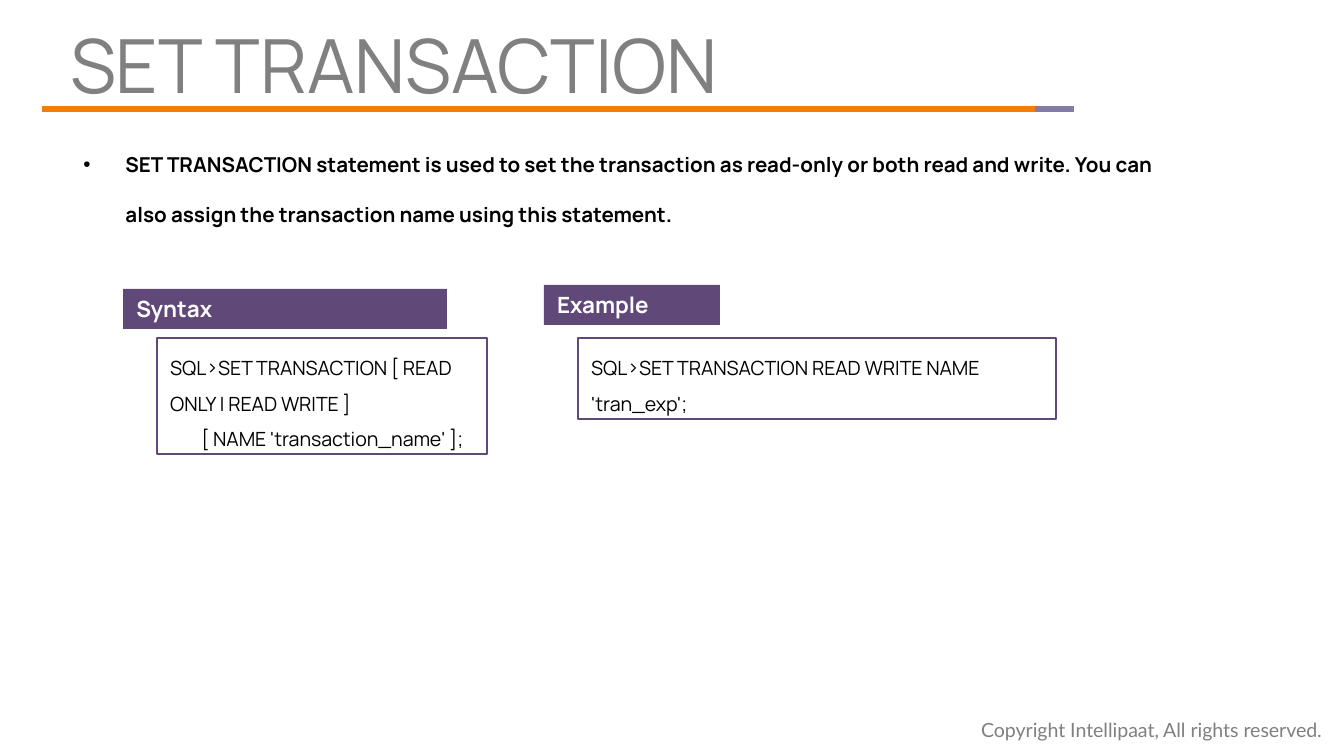
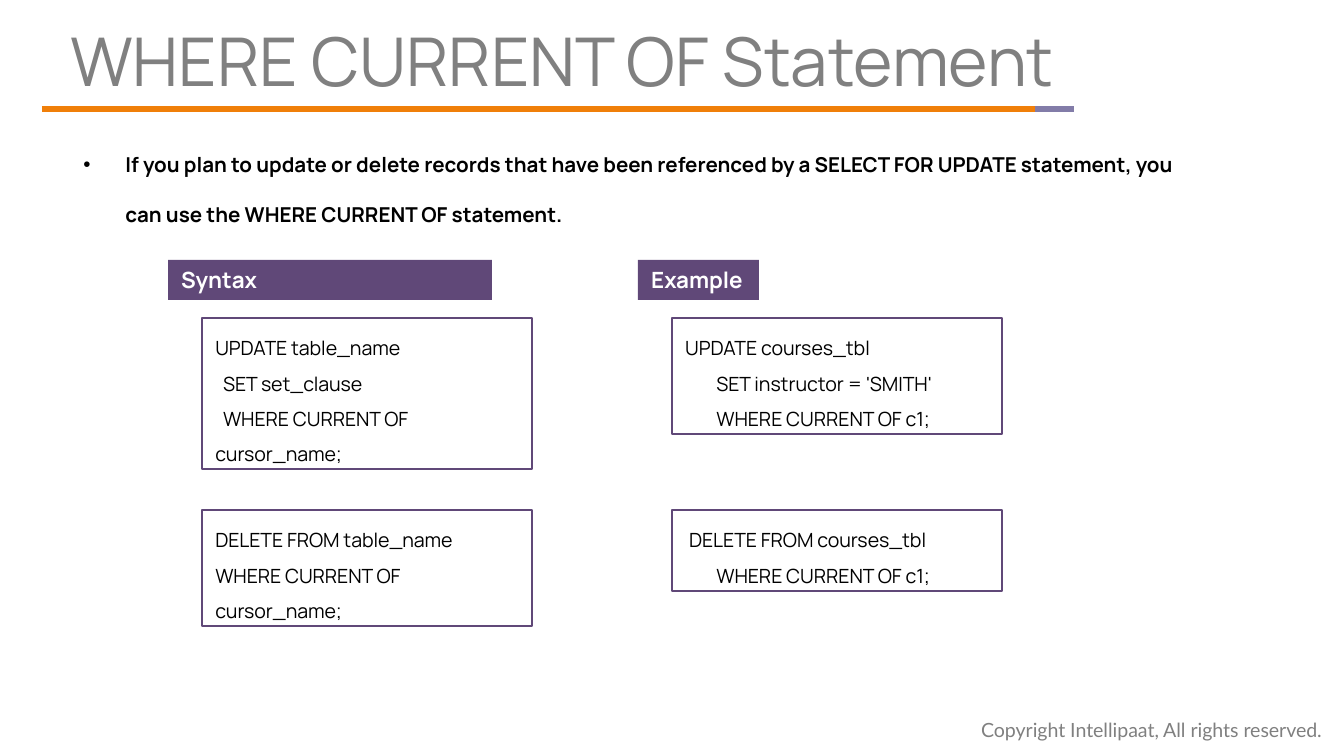
import dataclasses

import lxml.etree
import pptx
import pptx.dml.color
import pptx.enum.shapes
import pptx.enum.text
import pptx.oxml.ns
import pptx.util


@dataclasses.dataclass(frozen=True)
class Theme:
    grey: str = "808080"
    black: str = "000000"
    white: str = "FFFFFF"
    orange: str = "F07F09"
    lilac: str = "827CA8"
    purple: str = "604878"
    font: str = "Manrope"
    foot_font: str = "Lato"
    body_size: float = 11
    label_size: float = 12
    code_size: float = 10.5
    foot_size: float = 10.5


theme = Theme()
RGB = pptx.dml.color.RGBColor.from_string
ANCHOR = pptx.enum.text.MSO_ANCHOR
FIT = pptx.enum.text.MSO_AUTO_SIZE
SCALE = 914400 / 134.4  # EMU in one px


def px(*values):
    return [round(value * SCALE) for value in values]


def write(shape, text, size, color, font=theme.font, bold=False, space=1.0,
          wrap=True, fit=FIT.SHAPE_TO_FIT_TEXT, hang=0):
    """Fill the shape with one paragraph for each line of the text."""
    frame = shape.text_frame
    frame.text = text
    frame.word_wrap = wrap
    frame.auto_size = fit
    frame.vertical_anchor = ANCHOR.TOP
    for para in frame.paragraphs:
        if hang:
            props = para._p.get_or_add_pPr()
            props.set("marL", str(px(hang)[0]))
            props.set("indent", str(px(-hang)[0]))
        para.alignment = pptx.enum.text.PP_ALIGN.LEFT
        para.line_spacing = space
        para.space_before = pptx.util.Pt(0)
        for run in para.runs:
            run.font.name = font
            run.font.size = pptx.util.Pt(size)
            run.font.bold = bold
            run.font.color.rgb = RGB(color)


# Each column: label, left, label top, label width, code width, code blocks (top, text)
pages = [
    dict(
        title="SET TRANSACTION", size=40, width=954,
        body="SET TRANSACTION statement is used to set the transaction as read-only "
             "or both read and write. You can also assign the transaction name using "
             "this statement.",
        columns=[
            ("Syntax", 123, 289, 324, 330, [
                (338, 3, "SQL>SET TRANSACTION [ READ ONLY | READ WRITE ]\n"
                         "        [ NAME 'transaction_name' ];")]),
            ("Example", 544, 285, 176, 478, [
                (338, 2, "SQL>SET TRANSACTION READ WRITE NAME 'tran_exp';")]),
        ],
    ),
    dict(
        title="WHERE CURRENT OF Statement", size=36, width=1032,
        body="If you plan to update or delete records that have been referenced by a "
             "SELECT FOR UPDATE statement, you can use the WHERE CURRENT OF statement.",
        columns=[
            ("Syntax", 168, 260, 324, 330, [
                (318, 4, "UPDATE table_name\n  SET set_clause\n"
                         "  WHERE CURRENT OF cursor_name;"),
                (510, 3, "DELETE FROM table_name\nWHERE CURRENT OF cursor_name;")]),
            ("Example", 638, 260, 121, 330, [
                (318, 3, "UPDATE courses_tbl\n        SET instructor = 'SMITH'\n"
                         "        WHERE CURRENT OF c1;"),
                (510, 2, " DELETE FROM courses_tbl\n        WHERE CURRENT OF c1;")]),
        ],
    ),
]
STEP = 34  # code boxes sit this far right of their label
ROW, PAD = 35, 11  # height of a code line, and what a box adds to it
RECT = pptx.enum.shapes.MSO_SHAPE.RECTANGLE
LINE = pptx.enum.shapes.MSO_CONNECTOR.STRAIGHT

deck = pptx.Presentation()
deck.slide_width, deck.slide_height = px(1344, 756)

for page in pages:
    slide = deck.slides.add_slide(deck.slide_layouts[1])
    shapes = slide.shapes

    foot = shapes.add_textbox(*px(968, 711, 380, 38))
    write(foot, "Copyright Intellipaat, All rights reserved.", size=theme.foot_size,
          color=theme.grey, font=theme.foot_font, wrap=False)

    for start, end, color in [(42, 1035, theme.orange), (1035, 1074, theme.lilac)]:
        rule = shapes.add_connector(LINE, *px(start, 109, end, 109))
        rule.line.color.rgb = RGB(color)
        rule.line.width = pptx.util.Pt(3)
        lxml.etree.SubElement(rule._element.spPr, pptx.oxml.ns.qn("a:effectLst"))

    title = shapes.title
    title.left, title.top, title.width, title.height = px(70, 22, page["width"], 85)
    title.text_frame.margin_left = 0
    write(title, page["title"], size=page["size"], color=theme.grey, space=0.9,
          fit=FIT.NONE)

    body = slide.placeholders[1]
    body.left, body.top, body.width, body.height = px(70, 121, 1142, 105)
    write(body, page["body"], size=theme.body_size, color=theme.black, bold=True,
          space=2.0, hang=42)

    for name, left, top, width, code_width, blocks in page["columns"]:
        label = shapes.add_shape(RECT, *px(left, top, width, 40))
        label.shadow.inherit = False
        label.fill.solid()
        label.fill.fore_color.rgb = RGB(theme.purple)
        label.line.fill.background()
        write(label, name, size=theme.label_size, color=theme.white, bold=True)

        for code_top, rows, text in blocks:
            code = shapes.add_shape(
                RECT, *px(left + STEP, code_top, code_width, rows * ROW + PAD))
            code.shadow.inherit = False
            code.fill.background()
            code.line.color.rgb = RGB(theme.purple)
            code.line.width = pptx.util.Pt(0.75)
            write(code, text, size=theme.code_size, color=theme.black, space=1.5)

deck.save("out.pptx")
